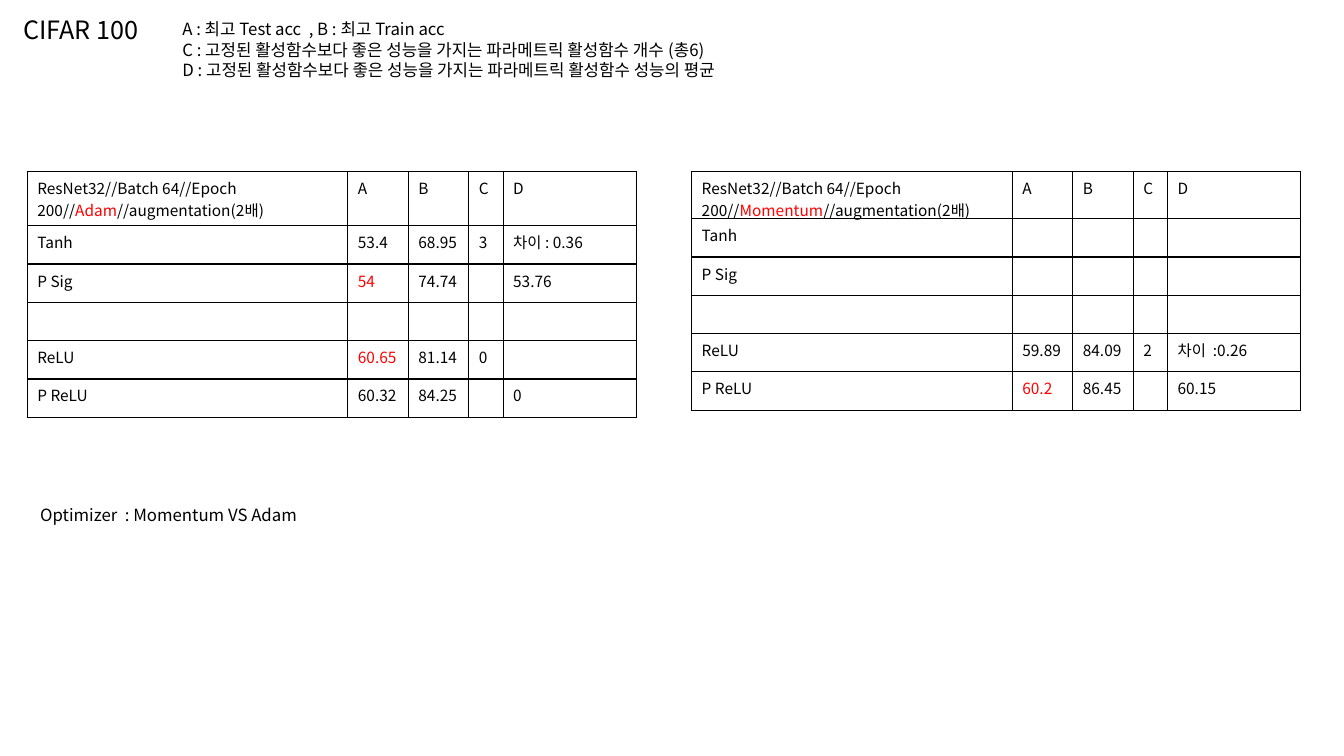
import pptx
import pptx.dml.color
import pptx.enum.text
import pptx.oxml
import pptx.oxml.ns
import pptx.util

Inches = pptx.util.Inches
Pt = pptx.util.Pt
BLACK = pptx.dml.color.RGBColor(0, 0, 0)
RED = pptx.dml.color.RGBColor(255, 0, 0)
FONT = "Noto Sans CJK KR"
COLUMN_WIDTHS = [3.18, 0.6, 0.6, 0.34, 1.32]
ROW_HEIGHT = 0.38
LEGEND = [
    "A : 최고 Test acc  , B : 최고 Train acc",
    "C : 고정된 활성함수보다 좋은 성능을 가지는 파라메트릭 활성함수 개수 (총6)",
    "D : 고정된 활성함수보다 좋은 성능을 가지는 파라메트릭 활성함수 성능의 평균",
]
ADAM_RESULTS = [
    ["Tanh", "53.4", "68.95", "3", "차이 : 0.36"],
    ["P Sig", "|54|", "74.74", "", "53.76"],
    [""] * 5,
    ["ReLU", "|60.65|", "81.14", "0", ""],
    ["P ReLU", "60.32", "84.25", "", "0"],
]
MOMENTUM_RESULTS = [
    ["Tanh", "", "", "", ""],
    ["P Sig", "", "", "", ""],
    [""] * 5,
    ["ReLU", "59.89", "84.09", "2", "차이  :0.26"],
    ["P ReLU", "|60.2|", "86.45", "", "60.15"],
]


def style_font(font, size):
    """Apply the slide's typeface in black at the given size."""
    font.name = FONT
    font.size = Pt(size)
    font.color.rgb = BLACK


def fill_text(frame, lines, size):
    """Write unwrapped, left-aligned lines into a text frame."""
    frame.word_wrap = False
    frame.auto_size = pptx.enum.text.MSO_AUTO_SIZE.SHAPE_TO_FIT_TEXT
    frame.vertical_anchor = pptx.enum.text.MSO_ANCHOR.TOP
    frame.text = "\n".join(lines)
    for paragraph in frame.paragraphs:
        paragraph.alignment = pptx.enum.text.PP_ALIGN.LEFT
        style_font(paragraph.font, size)


def add_heading(slide, left, top, width, height):
    """Place the title placeholder."""
    heading = slide.shapes.title
    heading.left, heading.top = Inches(left), Inches(top)
    heading.width, heading.height = Inches(width), Inches(height)
    fill_text(heading.text_frame, ["CIFAR 100"], 18)


def add_note(slide, left, top, width, height, lines):
    """Place a block of plain 12-point lines."""
    note = slide.shapes.add_textbox(Inches(left), Inches(top), Inches(width), Inches(height))
    fill_text(note.text_frame, lines, 12)


def border_cell(cell):
    """Draw thin black borders around an unfilled cell."""
    cell.fill.background()
    properties = cell._tc.get_or_add_tcPr()
    for position, side in enumerate(["lnL", "lnR", "lnT", "lnB"]):
        properties.insert(position, pptx.oxml.parse_xml(
            f'<a:{side} {pptx.oxml.ns.nsdecls("a")} w="12700"><a:solidFill>'
            f'<a:srgbClr val="{BLACK}"/></a:solidFill></a:{side}>'))


def fill_cell(cell, text):
    """Write cell text, with the parts between bars in red."""
    border_cell(cell)
    paragraph = cell.text_frame.paragraphs[0]
    style_font(paragraph.font, 11)
    for index, part in enumerate(text.split("|")):
        if part:
            run = paragraph.add_run()
            run.text = part
            if index % 2:
                run.font.color.rgb = RED
    if not text:
        paragraph._p.append(pptx.oxml.parse_xml(
            f'<a:endParaRPr {pptx.oxml.ns.nsdecls("a")} sz="1100"/>'))


def add_results(slide, left, top, optimizer, results, header_height):
    """Place the accuracy table of one optimizer."""
    setup = f"ResNet32//Batch 64//Epoch 200//|{optimizer}|//augmentation(2배)"
    rows = [[setup, "A", "B", "C", "D"]] + results
    height = header_height + ROW_HEIGHT * len(results)
    table = slide.shapes.add_table(
        len(rows), len(COLUMN_WIDTHS), Inches(left), Inches(top),
        Inches(sum(COLUMN_WIDTHS)), Inches(height)).table
    table.first_row = table.horz_banding = False
    for column, width in zip(table.columns, COLUMN_WIDTHS):
        column.width = Inches(width)
    for row, texts in zip(table.rows, rows):
        row.height = Inches(ROW_HEIGHT)
        for cell, text in zip(row.cells, texts):
            fill_cell(cell, text)
    table.rows[0].height = Inches(header_height)
    for cell in table.rows[0].cells:
        cell.margin_bottom = 0


def main():
    """Build and save the slide."""
    deck = pptx.Presentation()
    deck.slide_width, deck.slide_height = Inches(13.33), Inches(7.5)
    slide = deck.slides.add_slide(deck.slide_layouts[5])
    add_heading(slide, 0.13, 0.09, 1.36, 0.4)
    add_note(slide, 1.71, 0.14, 6.41, 0.71, LEGEND)
    add_results(slide, 0.27, 1.7, "Adam", ADAM_RESULTS, 0.54)
    add_results(slide, 6.86, 1.7, "Momentum", MOMENTUM_RESULTS, 0.47)
    add_note(slide, 0.3, 4.96, 2.82, 0.3, ["Optimizer  : Momentum VS Adam"])
    deck.save("out.pptx")


if __name__ == "__main__":
    main()
